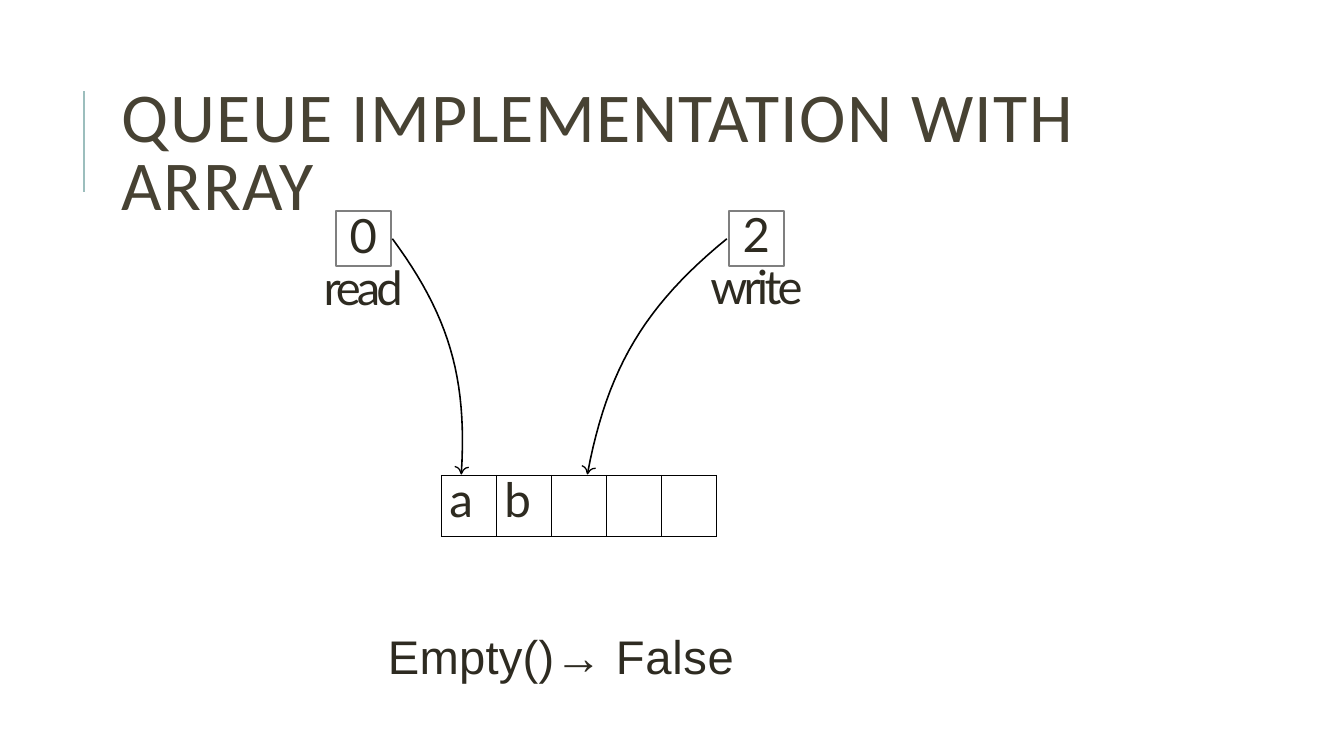
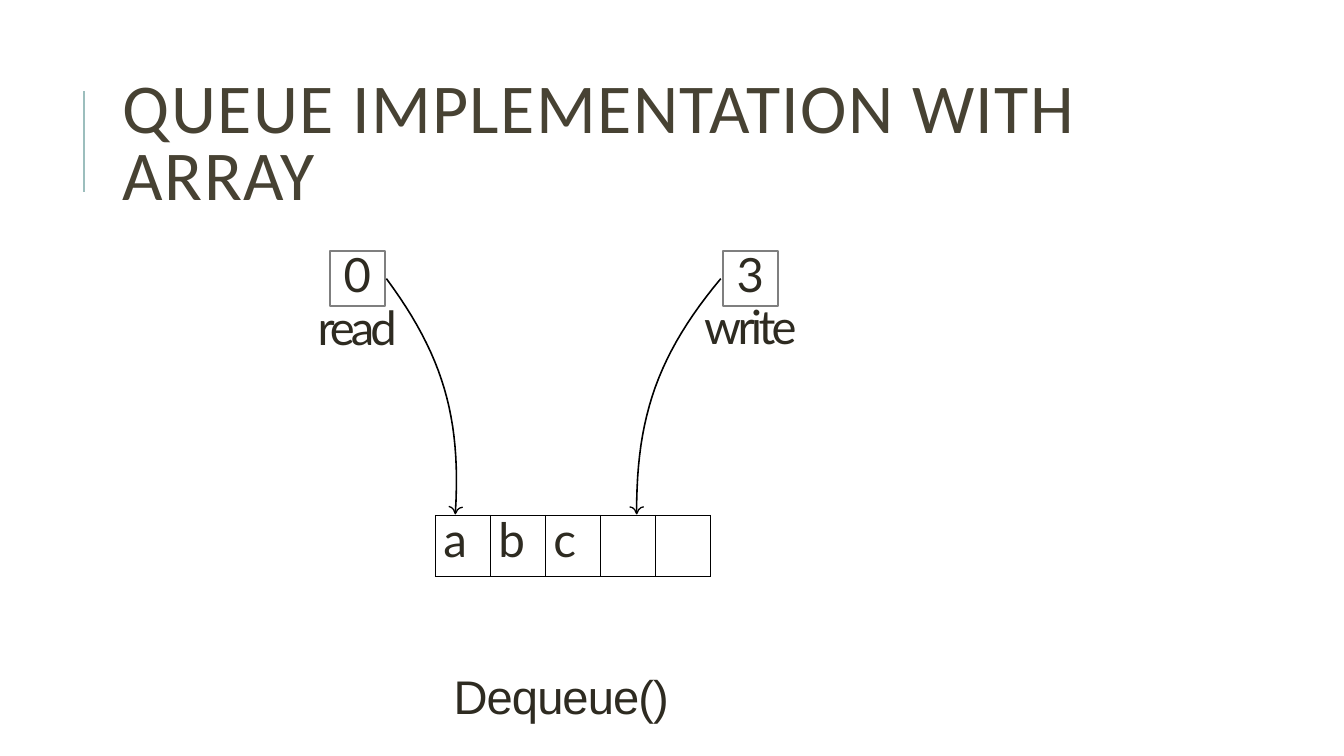
from dataclasses import dataclass
from math import atan2, cos, hypot, radians, sin

from lxml import etree
from pptx import Presentation
from pptx.dml.color import RGBColor
from pptx.enum.shapes import MSO_CONNECTOR, MSO_SHAPE
from pptx.enum.text import MSO_ANCHOR, MSO_AUTO_SIZE, PP_ALIGN
from pptx.oxml.ns import qn
from pptx.util import Pt

LEFT, CENTER = PP_ALIGN.LEFT, PP_ALIGN.CENTER
MIDDLE, NO_AUTOFIT = MSO_ANCHOR.MIDDLE, MSO_AUTO_SIZE.NONE
RECTANGLE, STRAIGHT = MSO_SHAPE.RECTANGLE, MSO_CONNECTOR.STRAIGHT


@dataclass(frozen=True)
class Theme:
    title: RGBColor = RGBColor(0x47, 0x42, 0x33)
    text: RGBColor = RGBColor(0x2E, 0x2B, 0x21)
    accent: RGBColor = RGBColor(0x9C, 0xBE, 0xBD)
    frame: RGBColor = RGBColor(0x7F, 0x7F, 0x7F)
    ink: RGBColor = RGBColor(0, 0, 0)
    title_font: str = "Calibri"
    diagram_font: str = "Lato"
    message_font: str = "Arial"
    title_size: float = 50
    cell_size: float = 34
    body_size: float = 33.7


T = Theme()
TITLE = "QUEUE IMPLEMENTATION WITH ARRAY"
CAPACITY = 5

# message runs: text, letter spacing, italic
SLIDES = [
    {"title_at": (79.9, 52.6), "origin": (239.8, 150.9),
     "items": ["a", "b"], "read": 0, "write": 2,
     "message": [("Empty()", 0.2, False), ("→ ", 0.2, True), ("False", 0.5, False)],
     "message_dx": 35.2},
    {"title_at": (80.6, 46.1), "origin": (235.5, 179.4),
     "items": ["a", "b", "c"], "read": 0, "write": 3,
     "message": [("Dequeue()", -0.7, False)],
     "message_dx": 86.5},
]

# pointer: x offset, label width, line height, label spacing, side the arrow
# leaves from (1 right, -1 left), gap there, landing offset in the cell
POINTERS = {
    "read": (0, 61.2, 37.6, -2.8, 1, 1.2, 14.4),
    "write": (280.8, 70.6, 37.1, -2.7, -1, 1.4, 26),
}
CELL = 39.3
ROW_HEIGHT = 43.4
ARRAY_DX, ARRAY_DY = 75.4, 188.6
MESSAGE_DY = 300.6
BEND = radians(20)
LOOSENESS = 0.39
HEAD = [(-5, 5), (-4.3, 2.9), (-2.9, 1.4), (-1.4, 0.7), (0, 0)]
CURVE_STEPS = 24


def format_run(r, font, size, color, spacing=0, italic=False):
    r.font.name, r.font.size = font, Pt(size)
    r.font.color.rgb = color
    if italic:
        r.font.italic = True
    if spacing:
        r._r.get_or_add_rPr().set("spc", str(round(spacing * 100)))


def add_textbox(s, x, y, w, h, left=0, top=0):
    tf = s.shapes.add_textbox(Pt(x), Pt(y), Pt(w), Pt(h)).text_frame
    tf.word_wrap = True
    tf.margin_left, tf.margin_top = Pt(left), Pt(top)
    tf.margin_right = tf.margin_bottom = 0
    return tf


def add_title(s, at):
    sp = s.shapes.title
    sp.left, sp.top = Pt(at[0]), Pt(at[1])
    sp.width, sp.height = Pt(765.4), Pt(118.1)
    tf = sp.text_frame
    tf.text = TITLE
    tf.auto_size, tf.vertical_anchor, tf.word_wrap = NO_AUTOFIT, MIDDLE, True
    p = tf.paragraphs[0]
    p.alignment, p.line_spacing = LEFT, 0.8
    format_run(p.runs[0], T.title_font, T.title_size, T.title, 1)
    rule = s.shapes.add_connector(STRAIGHT, Pt(59.8), Pt(136.8), Pt(59.8), Pt(64.8))
    rule.line.color.rgb, rule.line.width = T.accent, Pt(1.5)
    etree.SubElement(rule._element.spPr, qn("a:effectLst"))


def outline(sp, color, width):
    sp.shadow.inherit = False
    sp.fill.background()
    sp.line.color.rgb, sp.line.width = color, Pt(width)


def add_polyline(s, points, width):
    points = [(Pt(x), Pt(y)) for x, y in points]
    builder = s.shapes.build_freeform(*points[0])
    builder.add_line_segments(points[1:], close=False)
    outline(builder.convert_to_shape(), T.ink, width)


def add_bent_arrow(s, start, end, bend):
    """Draw a cubic curve leaving and arriving at the bend angle to its chord."""
    (x0, y0), (x3, y3) = start, end
    chord = atan2(y3 - y0, x3 - x0)
    reach = LOOSENESS * hypot(x3 - x0, y3 - y0)
    leave, arrive = chord + bend, chord - bend
    x1, y1 = x0 + reach * cos(leave), y0 + reach * sin(leave)
    x2, y2 = x3 - reach * cos(arrive), y3 - reach * sin(arrive)
    curve = []
    for i in range(CURVE_STEPS + 1):
        t = i / CURVE_STEPS
        u = 1 - t
        weights = (u ** 3, 3 * u * u * t, 3 * u * t * t, t ** 3)
        curve.append(tuple(sum(w * v for w, v in zip(weights, values))
                           for values in ((x0, x1, x2, x3), (y0, y1, y2, y3))))
    add_polyline(s, curve, 1.13)

    c, d = cos(arrive), sin(arrive)
    barbs = HEAD + [(along, -across) for along, across in HEAD[-2::-1]]
    tip_x, tip_y = x3 + c, y3 + d
    add_polyline(s, [(tip_x + a * c - b * d, tip_y + a * d + b * c)
                     for a, b in barbs], 0.91)


def add_pointer(s, name, index, origin):
    dx, width, line_height, spacing, side, gap, landing = POINTERS[name]
    x, y = origin[0] + dx, origin[1]
    middle = x + CELL / 2
    box = s.shapes.add_shape(RECTANGLE, Pt(x), Pt(y), Pt(CELL), Pt(CELL))
    outline(box, T.frame, 1.42)

    tf = add_textbox(s, middle - width / 2, y - 5.6, width, 79, top=4.6)
    tf.text = f"{index}\n{name}"
    for p, spc in zip(tf.paragraphs, (-1.7, spacing)):
        p.alignment, p.line_spacing = CENTER, Pt(line_height)
        format_run(p.runs[0], T.diagram_font, T.body_size, T.text, spc)

    start = (middle + side * (CELL / 2 + gap), y + CELL / 2)
    end = (origin[0] + ARRAY_DX + index * CELL + landing, y + ARRAY_DY - 2)
    add_bent_arrow(s, start, end, -side * BEND)


def add_borders(cell):
    tcPr = cell._tc.get_or_add_tcPr()
    for tag in ("a:lnL", "a:lnR", "a:lnT", "a:lnB"):
        ln = etree.SubElement(tcPr, qn(tag), w=str(Pt(0.5)))
        fill = etree.SubElement(ln, qn("a:solidFill"))
        etree.SubElement(fill, qn("a:srgbClr"), val=str(T.ink))


def add_array(s, items, origin):
    table = s.shapes.add_table(1, CAPACITY, Pt(origin[0] + ARRAY_DX),
                               Pt(origin[1] + ARRAY_DY),
                               Pt(CAPACITY * CELL), Pt(ROW_HEIGHT)).table
    table.first_row = table.horz_banding = False
    table.rows[0].height = Pt(ROW_HEIGHT)
    for i in range(CAPACITY):
        table.columns[i].width = Pt(CELL)
        cell = table.cell(0, i)
        add_borders(cell)
        cell.fill.background()
        if i < len(items):
            cell.margin_left, cell.margin_top = Pt(5.8), Pt(18.8)
            cell.margin_right = cell.margin_bottom = 0
            cell.text_frame.text = items[i]
            p = cell.text_frame.paragraphs[0]
            p.line_spacing = Pt(18.8)
            format_run(p.runs[0], T.diagram_font, T.cell_size, T.text)


def add_message(s, parts, dx, origin):
    tf = add_textbox(s, origin[0] + dx, origin[1] + MESSAGE_DY, 260.6, 37.4, left=2)
    p = tf.paragraphs[0]
    p.line_spacing = Pt(37.1)
    for text, spacing, italic in parts:
        r = p.add_run()
        r.text = text
        format_run(r, T.message_font, T.body_size, T.text, spacing, italic)


def main():
    prs = Presentation()
    prs.slide_width, prs.slide_height = Pt(960), Pt(540)
    for content in SLIDES:
        s = prs.slides.add_slide(prs.slide_layouts[5])
        origin = content["origin"]
        add_title(s, content["title_at"])
        add_array(s, content["items"], origin)
        for name in POINTERS:
            add_pointer(s, name, content[name], origin)
        add_message(s, content["message"], content["message_dx"], origin)
    prs.save("out.pptx")


if __name__ == "__main__":
    main()
